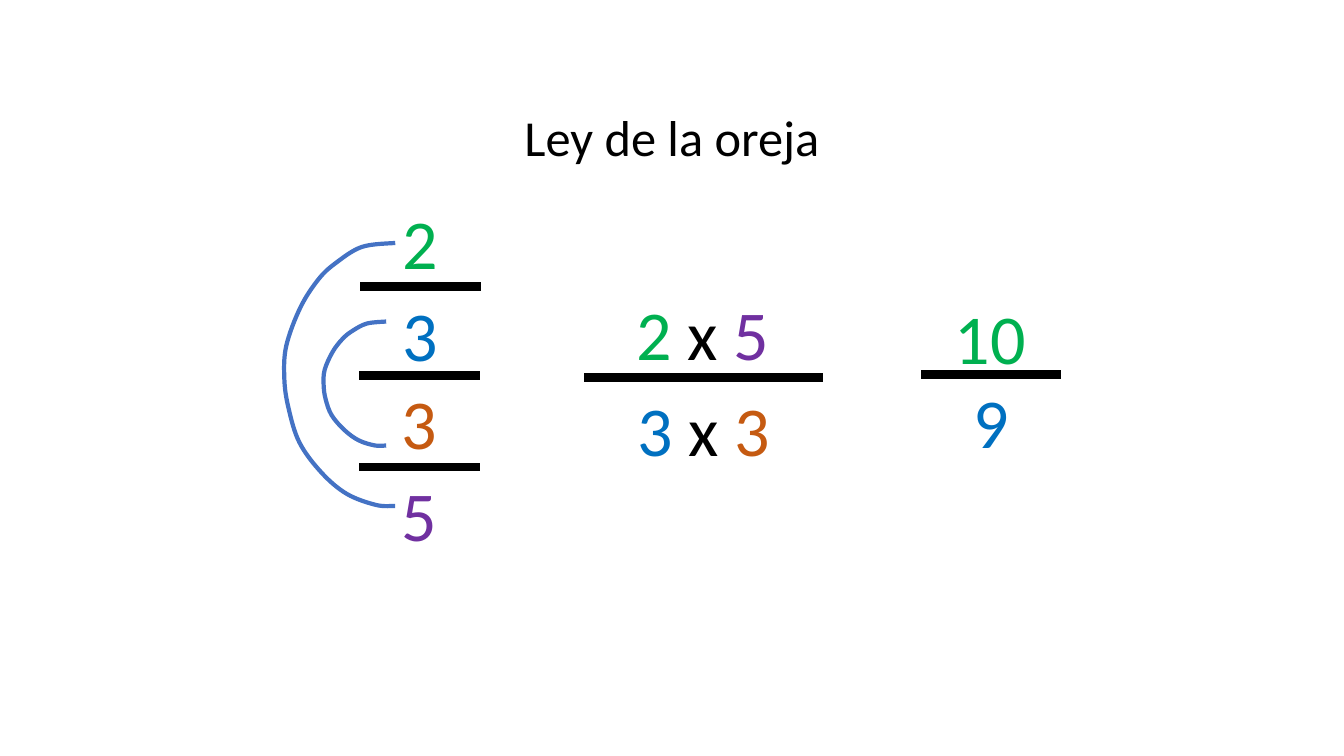
from dataclasses import dataclass

from lxml import etree
from pptx import Presentation
from pptx import util as u
from pptx.dml.color import RGBColor
from pptx.enum import shapes, text
from pptx.oxml.ns import qn


@dataclass(frozen=True)
class Theme:
    font: str = "Calibri"
    title_size: int = 36
    number_size: int = 50
    black: str = "000000"
    green: str = "00B050"
    blue: str = "0070C0"
    orange: str = "C55A11"
    purple: str = "7030A0"
    arc: str = "4472C4"


THEME = Theme()
BAR_HEIGHT = 0.07
NUMBER_HEIGHT = 0.94

# Points that each ear-shaped curve passes through, in inches
OUTER_EAR = [(3.92, 2.41), (3.59, 2.45), (3.33, 2.61), (3.16, 2.77),
             (2.98, 3.05), (2.84, 3.43), (2.82, 3.75), (2.86, 4.04),
             (2.97, 4.39), (3.19, 4.69), (3.44, 4.9), (3.73, 5.01),
             (3.92, 5.02)]
INNER_EAR = [(3.83, 3.19), (3.64, 3.21), (3.5, 3.28), (3.4, 3.36),
             (3.3, 3.49), (3.22, 3.67), (3.21, 3.82), (3.23, 3.96),
             (3.29, 4.12), (3.42, 4.27), (3.56, 4.37), (3.72, 4.42),
             (3.83, 4.42)]


def color(code):
    return RGBColor.from_string(code)


def format_text(box, spans, size):
    """Fill a box with one centred line made of (text, colour) spans."""
    frame = box.text_frame
    frame.word_wrap = True
    frame.auto_size = text.MSO_AUTO_SIZE.SHAPE_TO_FIT_TEXT
    frame.vertical_anchor = text.MSO_ANCHOR.TOP
    para = frame.paragraphs[0]
    para.alignment = text.PP_ALIGN.CENTER
    para.font.name = THEME.font
    para.font.size = u.Pt(size)
    for words, code in spans:
        span = para.add_run()
        span.text = words
        span.font.color.rgb = color(code)


def add_title(slide, words):
    title = slide.shapes.title
    title.left, title.top = u.Inches(0), u.Inches(1)
    title.width, title.height = u.Inches(13.33), u.Inches(0.71)
    format_text(title, [(words, THEME.black)], THEME.title_size)


def add_number(parent, left, top, width, *spans):
    box = parent.add_textbox(u.Inches(left), u.Inches(top),
                             u.Inches(width), u.Inches(NUMBER_HEIGHT))
    format_text(box, spans, THEME.number_size)


def add_bar(parent, left, top, width):
    bar = parent.add_shape(shapes.MSO_SHAPE.RECTANGLE, u.Inches(left),
                           u.Inches(top), u.Inches(width),
                           u.Inches(BAR_HEIGHT))
    bar.shadow.inherit = False
    bar.fill.solid()
    bar.fill.fore_color.rgb = color(THEME.black)
    bar.line.color.rgb = color(THEME.black)
    bar.line.width = u.Pt(1)
    # Square corners
    outline = next(bar._element.iter(qn("a:ln")))
    etree.SubElement(outline, qn("a:miter"), lim="800000")


def curve_segments(freeform):
    """Turn straight segments into Bezier curves through the same points."""
    points = [(int(point.get("x")), int(point.get("y")))
              for point in freeform._element.iter(qn("a:pt"))]
    padded = [points[0], *points, points[-1]]
    segments = list(freeform._element.iter(qn("a:lnTo")))
    for segment, a, b, c, d in zip(segments, padded, padded[1:],
                                   padded[2:], padded[3:]):
        leave = [q + (r - p) / 6 for p, q, r in zip(a, b, c)]
        arrive = [r - (s - q) / 6 for q, r, s in zip(b, c, d)]
        segment.tag = qn("a:cubicBezTo")
        for index, (x, y) in enumerate((leave, arrive)):
            control = segment.makeelement(
                qn("a:pt"), {"x": str(round(x)), "y": str(round(y))})
            segment.insert(index, control)


def add_ear(slide, points):
    start, *rest = [(u.Inches(x), u.Inches(y)) for x, y in points]
    builder = slide.shapes.build_freeform(*start)
    builder.add_line_segments(rest, close=False)
    ear = builder.convert_to_shape()
    curve_segments(ear)
    ear.shadow.inherit = False
    ear.fill.background()
    ear.line.color.rgb = color(THEME.arc)
    ear.line.width = u.Pt(3)


def main():
    deck = Presentation()
    deck.slide_width, deck.slide_height = u.Inches(13.33), u.Inches(7.5)
    slide = deck.slides.add_slide(deck.slide_layouts[5])
    add_title(slide, "Ley de la oreja")

    # Result
    result = slide.shapes.add_group_shape().shapes
    add_number(result, 9.14, 3.71, 1.38, ("9", THEME.blue))
    add_bar(result, 9.14, 3.68, 1.38)
    add_number(result, 9.13, 2.87, 1.38, ("10", THEME.green))

    # Products of the outer and inner terms
    times = ("x ", THEME.black)
    add_number(slide.shapes, 5.79, 2.83, 2.36,
               ("2 ", THEME.green), times, ("5", THEME.purple))
    add_number(slide.shapes, 5.8, 3.79, 2.36,
               ("3 ", THEME.blue), times, ("3", THEME.orange))
    add_bar(slide.shapes, 5.8, 3.71, 2.36)

    # Stacked fraction
    stack = slide.shapes.add_group_shape().shapes
    terms = [("2", THEME.green, 3.58, 1.93), ("3", THEME.blue, 3.58, 2.84),
             ("3", THEME.orange, 3.57, 3.72), ("5", THEME.purple, 3.57, 4.63)]
    for index, (digit, code, left, top) in enumerate(terms):
        add_number(stack, left, top, 1.18, (digit, code))
        if index:
            add_bar(stack, left, top - 0.03, 1.18)

    # Curves joining the outer and the inner terms
    for points in (OUTER_EAR, INNER_EAR):
        add_ear(slide, points)

    deck.save("out.pptx")


if __name__ == "__main__":
    main()
